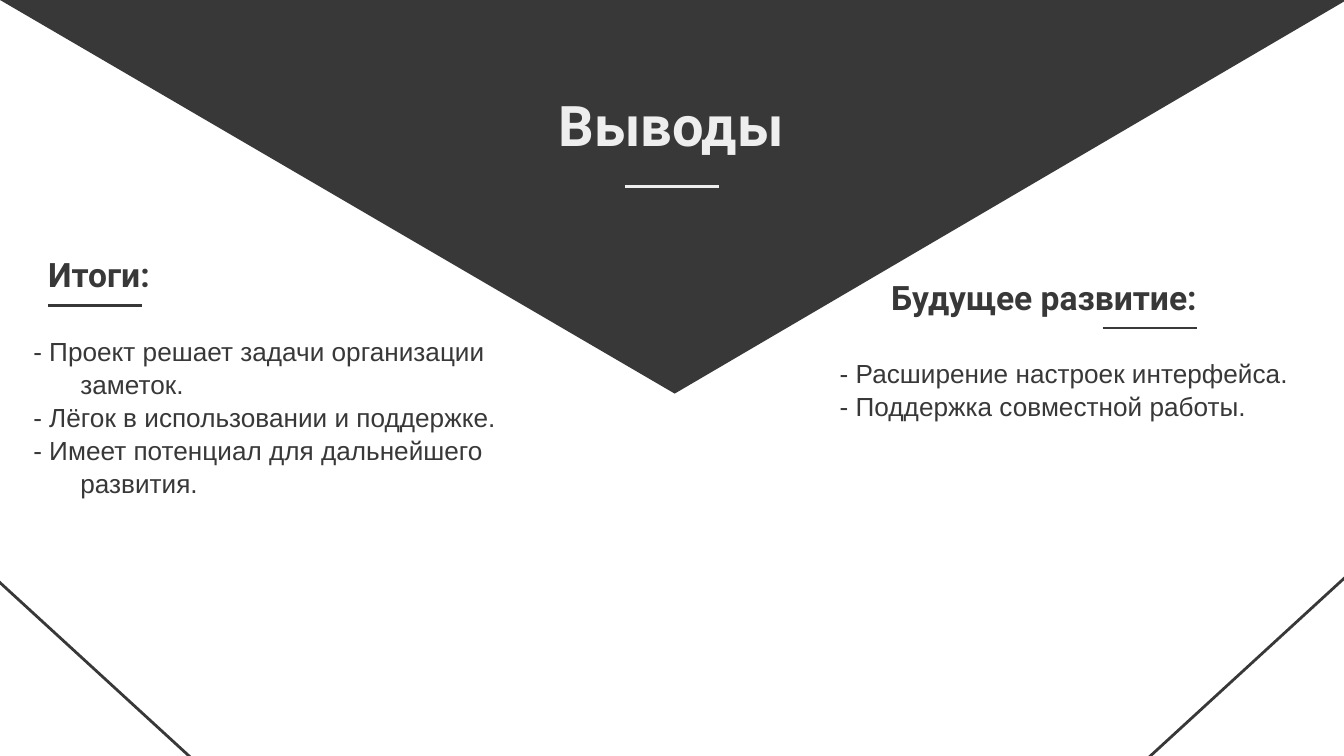
from dataclasses import dataclass

from lxml import etree
from pptx import Presentation
from pptx.dml.color import RGBColor
from pptx.enum.shapes import MSO_CONNECTOR, MSO_SHAPE
from pptx.enum.text import MSO_ANCHOR, PP_ALIGN
from pptx.oxml.ns import qn
from pptx.slide import Slide
from pptx.util import Cm, Pt

DARK = RGBColor(0x38, 0x38, 0x38)
LIGHT = RGBColor(0xEE, 0xEE, 0xEE)
WHITE = RGBColor(0xFF, 0xFF, 0xFF)
TRIANGLE = MSO_SHAPE.ISOSCELES_TRIANGLE
STRAIGHT = MSO_CONNECTOR.STRAIGHT
TOP, MIDDLE = MSO_ANCHOR.TOP, MSO_ANCHOR.MIDDLE
LEFT, CENTER = PP_ALIGN.LEFT, PP_ALIGN.CENTER
INSET = Cm(0.25)


@dataclass(frozen=True)
class Box:
    left: float
    top: float
    width: float
    height: float

    def lengths(self) -> tuple[Cm, Cm, Cm, Cm]:
        return Cm(self.left), Cm(self.top), Cm(self.width), Cm(self.height)


@dataclass(frozen=True)
class TextStyle:
    font: str
    size: int
    color: RGBColor
    bold: bool = False
    align: PP_ALIGN = LEFT
    anchor: MSO_ANCHOR = TOP
    indent: float = 0
    hanging: float = 0
    line_spacing: float = 1.0


@dataclass(frozen=True)
class TextBlock:
    box: Box
    style: TextStyle
    lines: tuple[str, ...]


@dataclass(frozen=True)
class Line:
    start: tuple[float, float]
    end: tuple[float, float]
    color: RGBColor = DARK


TITLE = TextStyle("Roboto", 30, LIGHT, bold=True, align=CENTER)
HEADING = TextStyle("Roboto", 18, DARK, bold=True, anchor=MIDDLE)
BODY = TextStyle("Arial", 14, DARK, indent=1.27, hanging=0.89, line_spacing=1.05)

TEXT_BLOCKS = (
    TextBlock(Box(0.66, 4.72, 8.15, 0.91), HEADING, ("Итоги:",)),
    TextBlock(Box(0, 6.07, 11.46, 4.14), BODY, (
        "- Проект решает задачи организации заметок.",
        "- Лёгок в использовании и поддержке.",
        "- Имеет потенциал для дальнейшего развития.",
    )),
    TextBlock(Box(1.98, 1.47, 21.41, 1.47), TITLE, ("Выводы",)),
    TextBlock(Box(16.59, 5.16, 8.81, 0.91), HEADING, ("Будущее развитие:",)),
    TextBlock(Box(15.24, 6.48, 10.16, 2.39), BODY, (
        "- Расширение настроек интерфейса.",
        "- Поддержка совместной работы.",
    )),
)

CORNER_LINES = (
    Line((7.16, 17.58), (-6.22, 5.31)),
    Line((18.24, 17.5), (31.62, 5.23)),
)
UNDERLINES = (
    Line((11.81, 3.53), (13.59, 3.53), LIGHT),
    Line((20.84, 6.2), (22.62, 6.2)),
    Line((0.91, 5.77), (2.69, 5.77)),
)


def draw_triangle(slide: Slide, box: Box) -> None:
    shape = slide.shapes.add_shape(TRIANGLE, *box.lengths())
    shape.adjustments[0] = 0.499
    shape.rotation = 180
    shape.shadow.inherit = False
    shape.fill.solid()
    shape.fill.fore_color.rgb = DARK
    shape.line.fill.background()


def draw_line(slide: Slide, line: Line) -> None:
    points = [Cm(value) for value in line.start + line.end]
    connector = slide.shapes.add_connector(STRAIGHT, *points)
    connector.line.color.rgb = line.color
    connector.line.width = Pt(1.5)
    etree.SubElement(connector._element.spPr, qn("a:effectLst"))


def draw_text(slide: Slide, block: TextBlock) -> None:
    style = block.style
    frame = slide.shapes.add_textbox(*block.box.lengths()).text_frame
    frame.word_wrap = True
    frame.vertical_anchor = style.anchor
    frame.margin_left = frame.margin_right = INSET
    frame.margin_top = frame.margin_bottom = INSET
    for index, text in enumerate(block.lines):
        paragraph = frame.add_paragraph() if index else frame.paragraphs[0]
        paragraph.alignment = style.align
        paragraph.line_spacing = style.line_spacing
        if style.indent:
            properties = paragraph._p.get_or_add_pPr()
            properties.set("marL", str(Cm(style.indent)))
            properties.set("indent", str(-Cm(style.hanging)))
        run = paragraph.add_run()
        run.text = text
        run.font.name = style.font
        run.font.size = Pt(style.size)
        run.font.bold = style.bold
        run.font.color.rgb = style.color


def main() -> None:
    presentation = Presentation()
    presentation.slide_width = Cm(25.4)
    presentation.slide_height = Cm(14.29)
    slide = presentation.slides.add_slide(presentation.slide_layouts[6])
    slide.background.fill.solid()
    slide.background.fill.fore_color.rgb = WHITE

    draw_triangle(slide, Box(-0.05, -0.03, 25.55, 7.47))
    for line in CORNER_LINES:
        draw_line(slide, line)
    for block in TEXT_BLOCKS:
        draw_text(slide, block)
    for line in UNDERLINES:
        draw_line(slide, line)

    presentation.save("out.pptx")


if __name__ == "__main__":
    main()
